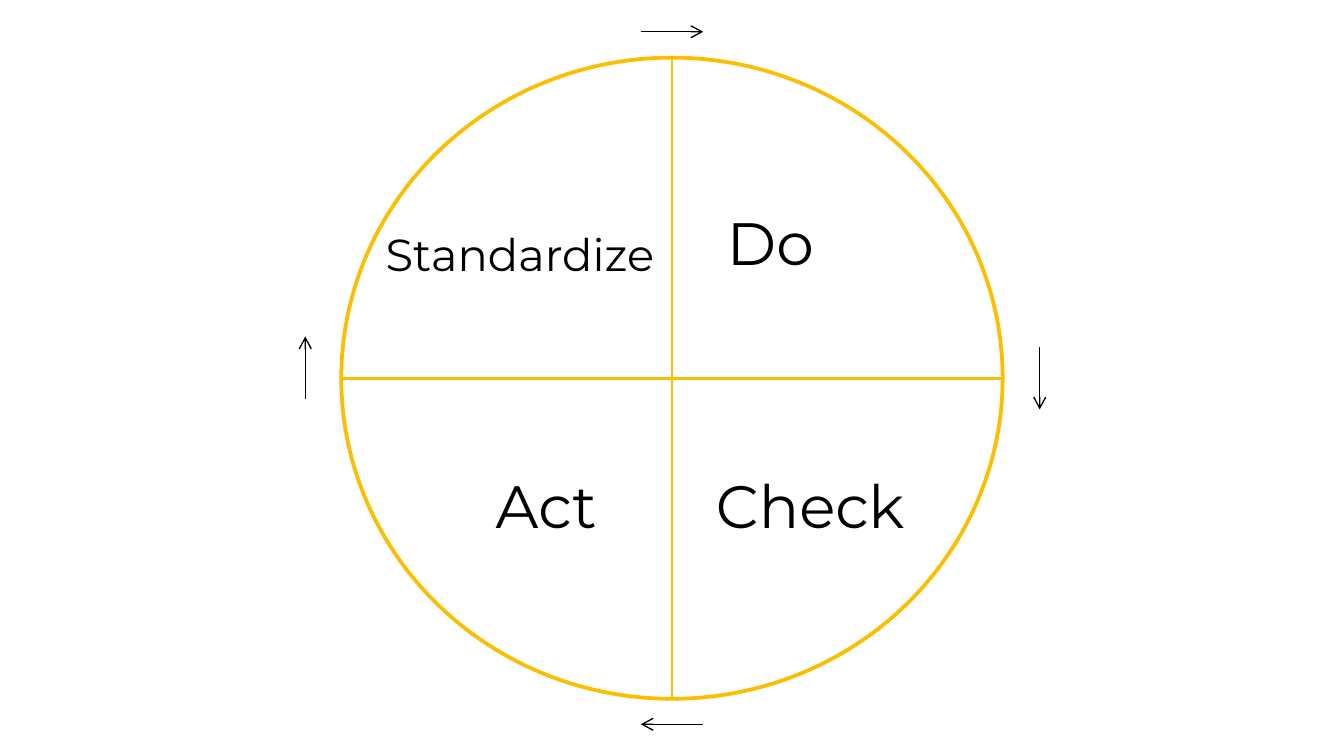
from pptx import Presentation, util as u
from pptx.dml.color import RGBColor
from pptx.enum import shapes, text
from pptx.oxml import parse_xml
from pptx.oxml.ns import nsdecls

THEME = {
    "font": "Montserrat", "ink": "000000", "gold": "FBBE00",
    "small": 24, "big": 32, "ring": 2, "spoke": 1.5, "arrow": 0.75,
}
WIDE, HIGH = 25.4, 14.29

# Circle centre and radii, in cm
MID_X, MID_Y = 12.7, 7.15
RAD_X, RAD_Y = 6.25, 6.06

# Text, box (left, top, width, height), size, alignment
LABELS = [
    ("Standardize", (6.55, 4.17, 6.55, 1.27), "small", "CENTER"),
    ("Do", (13.49, 3.76, 2.59, 1.63), "big", "LEFT"),
    ("Check", (13.28, 8.74, 4.78, 1.63), "big", "LEFT"),
    ("Act", (9.12, 8.74, 3.76, 1.63), "big", "LEFT"),
]

# Arrow centre and direction, clockwise from the top
ARROWS = [
    ((MID_X, 0.6), (1, 0)),
    ((19.65, MID_Y), (0, 1)),
    ((MID_X, 13.69), (-1, 0)),
    ((5.77, 6.95), (0, -1)),
]
REACH = 0.59  # half an arrow's length


def color(name):
    return RGBColor.from_string(THEME[name])


def add_text(slide, words, box, size="big", align="LEFT", ink="ink"):
    shape = slide.shapes.add_textbox(*map(u.Cm, box))
    frame = shape.text_frame
    frame.word_wrap = True
    frame.auto_size = text.MSO_AUTO_SIZE.SHAPE_TO_FIT_TEXT
    para = frame.paragraphs[0]
    para.alignment = text.PP_ALIGN[align]
    run = para.add_run()
    run.text = words
    run.font.name = THEME["font"]
    run.font.size = u.Pt(THEME[size])
    run.font.color.rgb = color(ink)


def add_line(slide, mid, half, ink, width, head=False):
    """Draw a line through mid that reaches half to either side."""
    (x, y), (dx, dy) = mid, half
    ends = (x - dx, y - dy, x + dx, y + dy)
    line = slide.shapes.add_connector(
        shapes.MSO_CONNECTOR.STRAIGHT, *map(u.Cm, ends))
    line.line.color.rgb = color(ink)
    line.line.width = u.Pt(THEME[width])
    props = line._element.spPr
    if head:
        tip = f'<a:tailEnd {nsdecls("a")} type="arrow"/>'
        line.line._get_or_add_ln().append(parse_xml(tip))
    props.append(parse_xml(f'<a:effectLst {nsdecls("a")}/>'))


def add_ring(slide):
    box = (MID_X - RAD_X, MID_Y - RAD_Y, 2 * RAD_X, 2 * RAD_Y)
    ring = slide.shapes.add_shape(
        shapes.MSO_SHAPE.OVAL, *map(u.Cm, box))
    ring.shadow.inherit = False
    ring.fill.background()
    ring.line.color.rgb = color("gold")
    ring.line.width = u.Pt(THEME["ring"])


def main():
    deck = Presentation()
    deck.slide_width, deck.slide_height = u.Cm(WIDE), u.Cm(HIGH)
    slide = deck.slides.add_slide(deck.slide_layouts[6])

    add_ring(slide)
    for half in ((0, RAD_Y), (RAD_X, 0)):
        add_line(slide, (MID_X, MID_Y), half, "gold", "spoke")
    for words, box, size, align in LABELS:
        add_text(slide, words, box, size=size, align=align)
    for mid, (dx, dy) in ARROWS:
        half = (dx * REACH, dy * REACH)
        add_line(slide, mid, half, "ink", "arrow", head=True)

    deck.save("out.pptx")


if __name__ == "__main__":
    main()
